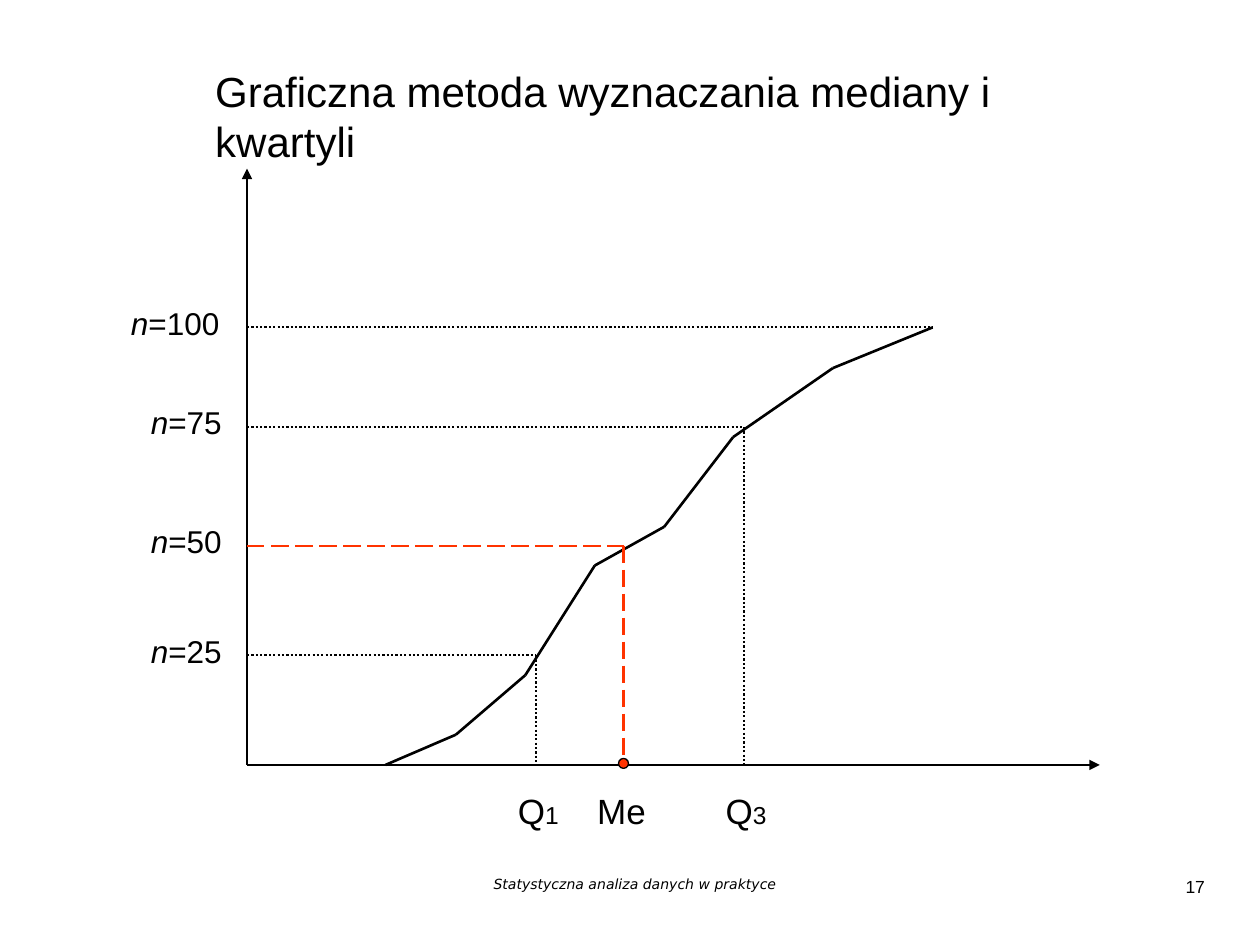
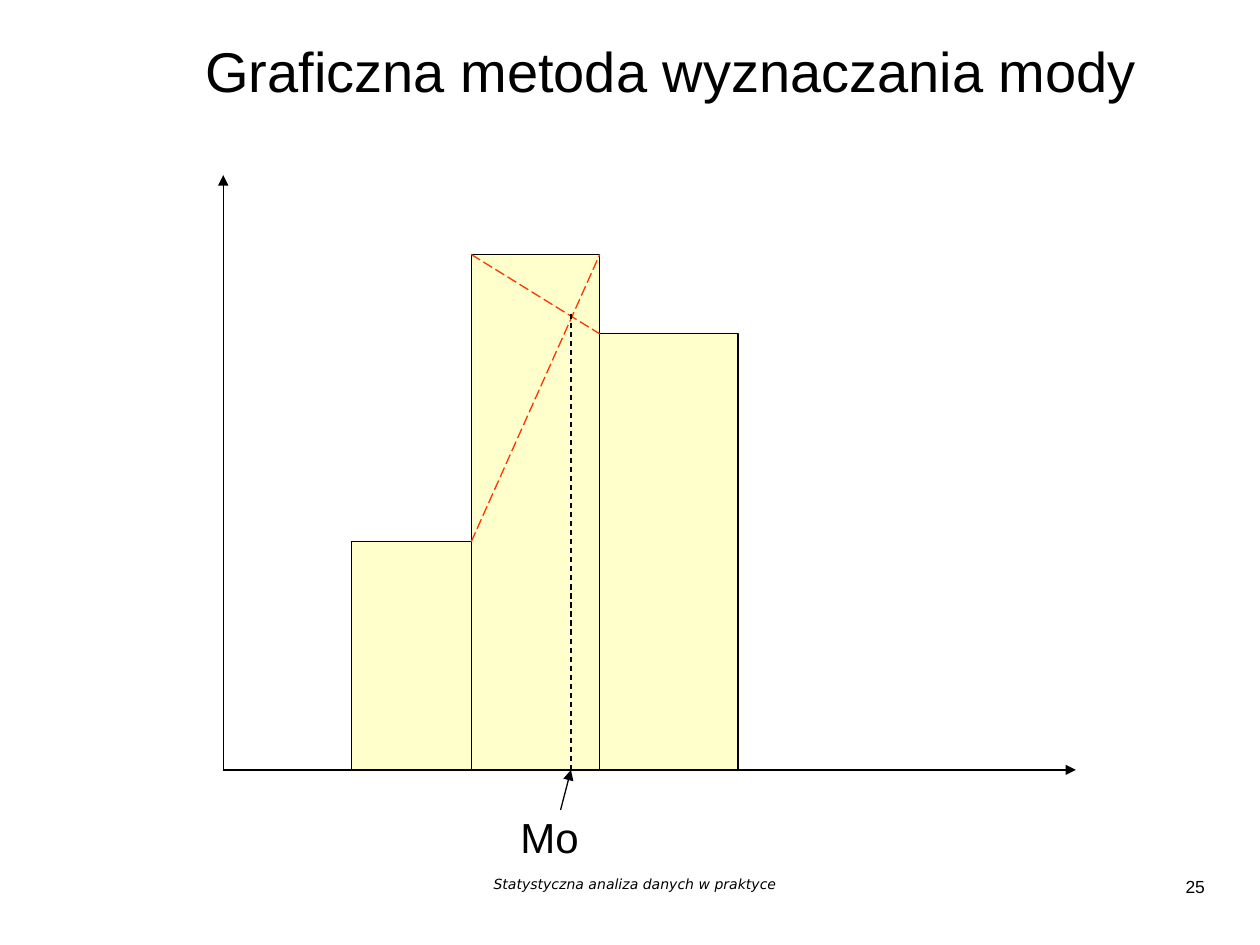
from dataclasses import dataclass
from itertools import pairwise

from lxml import etree
from pptx import Presentation
from pptx.dml import color
from pptx.enum import dml, shapes, text
from pptx.oxml import ns
from pptx.util import Cm, Pt


@dataclass(frozen=True)
class Theme:
    ink: color.RGBColor = color.RGBColor.from_string("000000")
    accent: color.RGBColor = color.RGBColor.from_string("FF3300")
    bar: color.RGBColor = color.RGBColor.from_string("FFFFCC")
    font: str = "Arial"
    footer_font: str = "DejaVu Sans"
    footer: float = 8
    number: float = 10
    subscript: float = 14
    level: float = 18
    quantile: float = 20
    heading: float = 24
    large_heading: float = 32
    thin: float = 0.75
    guide: float = 1.25
    thick: float = 1.5


theme = Theme()
DOTTED = dml.MSO_LINE.ROUND_DOT
DASHED = dml.MSO_LINE.DASH
LONG_DASHED = dml.MSO_LINE.LONG_DASH


def write(slide, parts, box, size, font=theme.font, align=text.PP_ALIGN.LEFT, wrap=True):
    frame = slide.shapes.add_textbox(*(Cm(length) for length in box)).text_frame
    frame.word_wrap = wrap
    paragraph = frame.paragraphs[0]
    paragraph.alignment = align
    for words, look in parts:
        run = paragraph.add_run()
        run.text = words
        run.font.name = font
        run.font.size = Pt(look.get("size", size))
        run.font.italic = look.get("italic", False)
        run.font.color.rgb = theme.ink


def draw_line(slide, start, end, width, ink=theme.ink, dash=None, arrow=False):
    stroke = slide.shapes.add_connector(
        shapes.MSO_CONNECTOR.STRAIGHT, *(Cm(length) for length in (*start, *end)))
    stroke.line.color.rgb = ink
    stroke.line.width = Pt(width)
    if dash:
        stroke.line.dash_style = dash
    if arrow:
        etree.SubElement(stroke.line._get_or_add_ln(), ns.qn("a:tailEnd"), type="triangle")
    etree.SubElement(stroke._element.spPr, ns.qn("a:effectLst"))


deck = Presentation()
deck.slide_width, deck.slide_height = Cm(25.4), Cm(19.05)
quartiles, mode = (deck.slides.add_slide(deck.slide_layouts[6]) for _ in range(2))

for slide, number in ((quartiles, "17"), (mode, "25")):
    write(slide, [("Statystyczna analiza danych w praktyce", {"italic": True})],
          (5.11, 17.53, 15.39, 0.79), theme.footer,
          font=theme.footer_font, align=text.PP_ALIGN.CENTER)
    write(slide, [(number, {})], (22.91, 17.53, 1.63, 0.79), theme.number,
          align=text.PP_ALIGN.RIGHT)

write(quartiles, [("Graficzna metoda wyznaczania mediany i kwartyli", {})],
      (4.09, 1.19, 19.18, 1.27), theme.heading, wrap=False)

axis_x, base = 4.98, 15.42
for tip in ((axis_x, 3.4), (22.17, base)):
    draw_line(quartiles, (axis_x, base), tip, theme.thick, arrow=True)

cumulative = [(7.77, base), (9.19, 14.81), (10.59, 13.61), (11.99, 11.4),
              (13.39, 10.62), (14.78, 8.81), (16.79, 7.42), (18.8, 6.6)]
for start, end in pairwise(cumulative):
    draw_line(quartiles, start, end, theme.thick)

median_x = 12.57
levels = [
    ("100", 18.8, 6.6, 2.39, None),
    ("75", 14.99, 8.61, 2.79, (14.38, "Q", "3")),
    ("50", median_x, 11.0, 2.79, (11.79, "Me", "")),
    ("25", 10.8, 13.21, 2.79, (10.19, "Q", "1")),
]
for count, x, y, label_left, quantile in levels:
    is_median = x == median_x
    ink = theme.accent if is_median else theme.ink
    dash = LONG_DASHED if is_median else DOTTED
    draw_line(quartiles, (axis_x, y), (x, y), theme.guide, ink, dash)
    write(quartiles, [("n", {"italic": True}), ("=" + count, {})],
          (label_left, y - 0.6, 2.79, 1.02), theme.level)
    if quantile:
        left, symbol, index = quantile
        draw_line(quartiles, (x, y), (x, base), theme.guide, ink, dash)
        parts = [(symbol, {})]
        if index:
            parts.append((index, {"size": theme.subscript}))
        write(quartiles, parts, (left, 15.8, 2.21, 1.12), theme.quantile)

median = quartiles.shapes.add_shape(
    shapes.MSO_SHAPE.OVAL, Cm(median_x - 0.1), Cm(base - 0.13), Cm(0.2), Cm(0.2))
median.shadow.inherit = False
median.fill.solid()
median.fill.fore_color.rgb = theme.accent
median.line.color.rgb = theme.ink
median.line.width = Pt(theme.thin)

write(mode, [("Graficzna metoda wyznaczania mody", {})],
      (3.89, 0.61, 19.71, 1.63), theme.large_heading)

axis_x, base = 4.5, 15.52
for tip in ((axis_x, 3.53), (21.69, base)):
    draw_line(mode, (axis_x, base), tip, theme.thin, arrow=True)

edges = [7.09, 9.5, 12.09, 14.88]
tops = [10.92, 5.13, 6.73]
for (left, right), top in zip(pairwise(edges), tops):
    bar = mode.shapes.add_shape(
        shapes.MSO_SHAPE.RECTANGLE, Cm(left), Cm(top), Cm(right - left), Cm(base - top))
    bar.shadow.inherit = False
    bar.fill.solid()
    bar.fill.fore_color.rgb = theme.bar
    bar.line.color.rgb = theme.ink
    bar.line.width = Pt(theme.thin)

before, peak, after = tops
for left_y, right_y in ((before, peak), (peak, after)):
    draw_line(mode, (edges[1], left_y), (edges[2], right_y), theme.thin,
              theme.accent, LONG_DASHED)

mode_x = 11.51
draw_line(mode, (mode_x, 6.32), (mode_x, base), theme.thin, dash=DASHED)
write(mode, [("Mo", {})], (10.24, 16.23, 2.21, 1.27), theme.heading)
draw_line(mode, (11.3, 16.33), (mode_x, base), theme.thin, arrow=True)

deck.save("out.pptx")
